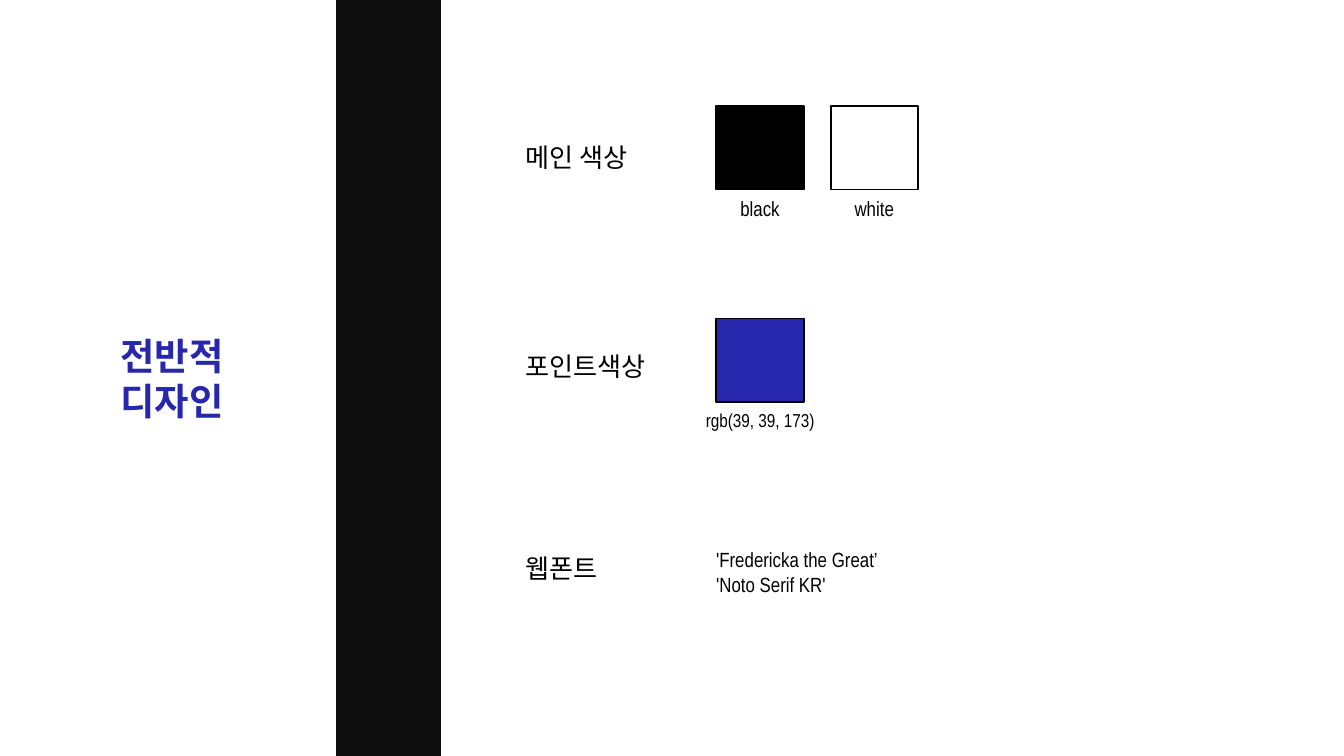
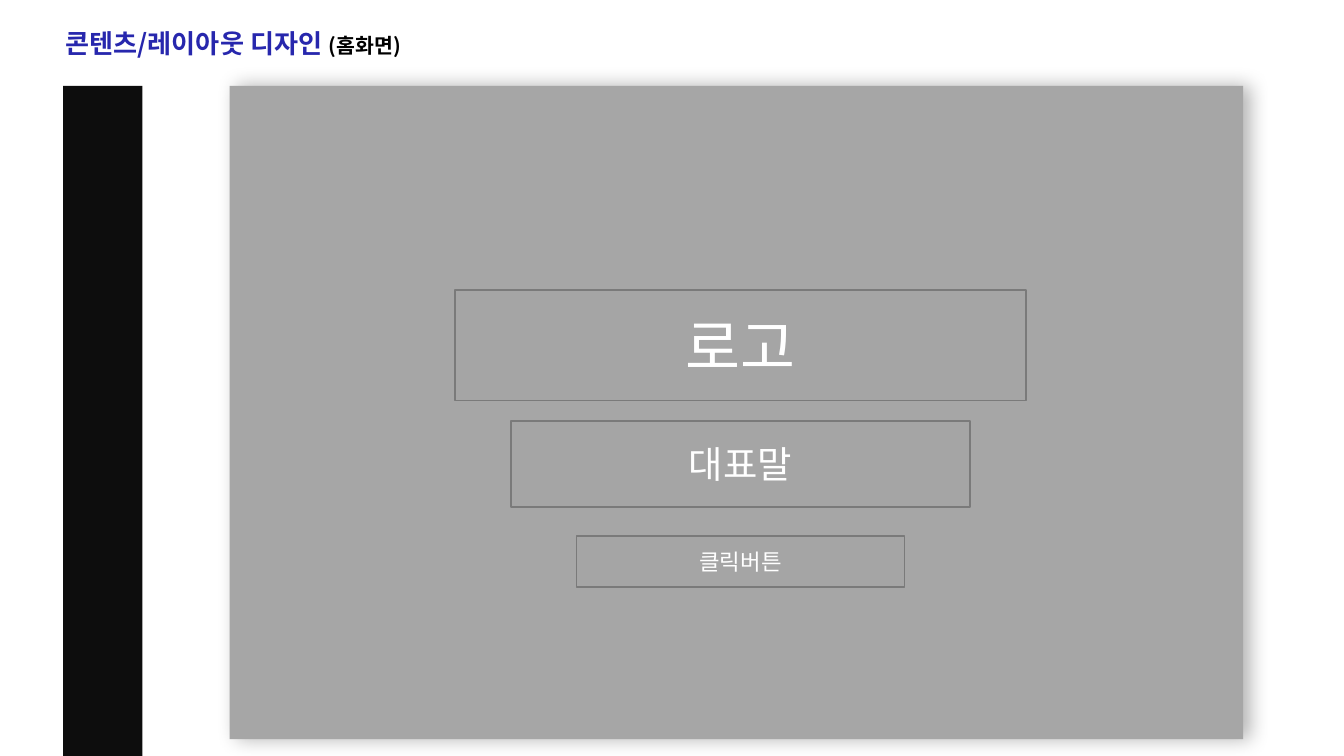
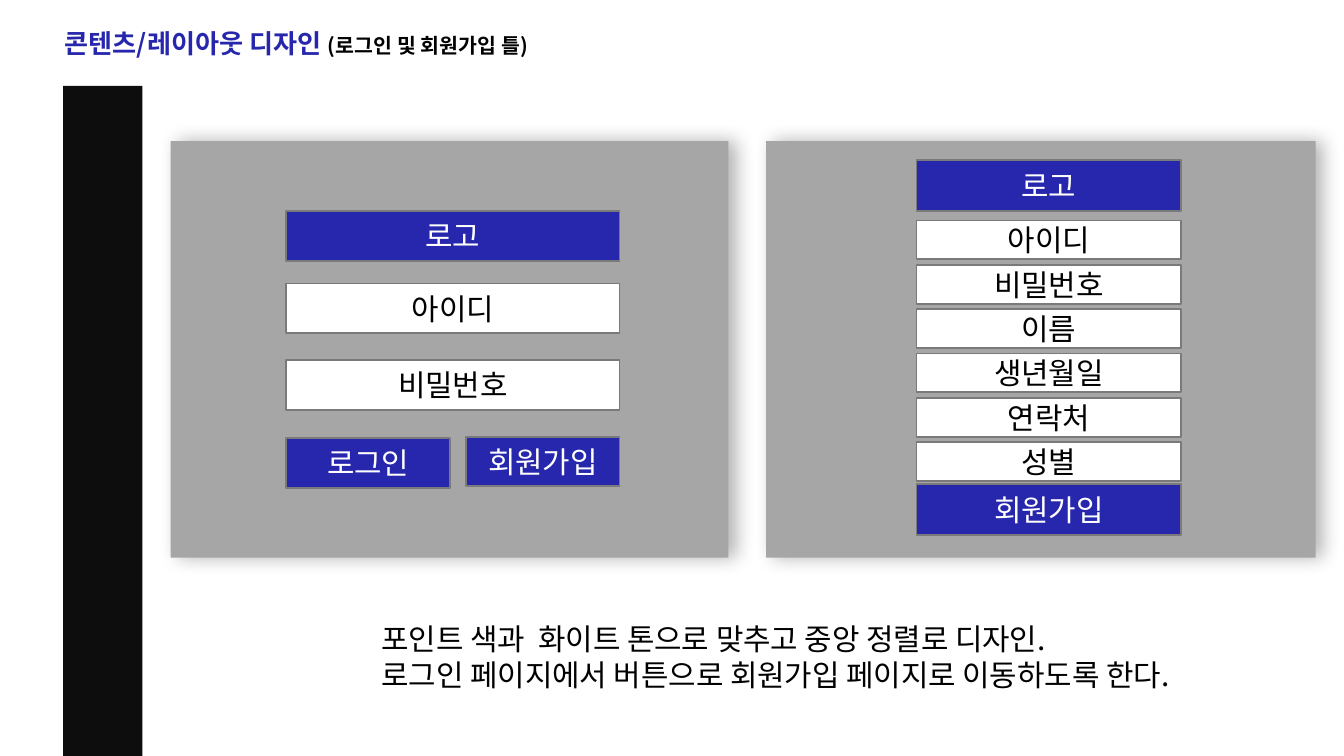
from lxml import etree
from pptx import Presentation
from pptx.dml.color import RGBColor
from pptx.enum.shapes import MSO_SHAPE
from pptx.enum.text import MSO_ANCHOR, MSO_AUTO_SIZE, PP_ALIGN
from pptx.oxml.ns import qn
from pptx.util import Inches, Pt

RECT = MSO_SHAPE.RECTANGLE
MIDDLE = MSO_ANCHOR.MIDDLE
GROW = MSO_AUTO_SIZE.SHAPE_TO_FIT_TEXT
LEFT, CENTER = PP_ALIGN.LEFT, PP_ALIGN.CENTER

POINT = RGBColor(0x27, 0x27, 0xAD)
BLACK = RGBColor(0, 0, 0)
WHITE = RGBColor(0xFF, 0xFF, 0xFF)
BAND = RGBColor(0x0D, 0x0D, 0x0D)
PANEL = RGBColor(0xA6, 0xA6, 0xA6)
BOX = RGBColor(0xA5, 0xA5, 0xA5)
EDGE = RGBColor(0x7A, 0x7A, 0x7A)

SANS, NARROW = "Noto Sans CJK KR", "Arial Narrow"
W = 10
H = W * 9 / 16
TIGHT = (0.07, 0.04)
NORMAL = (0.1, 0.05)

COVER_TITLE = "전반적 디자인"
LABELS = [("메인 색상", 1), ("포인트색상", 2.56), ("웹폰트", 4.06)]
SWATCH_X, SWATCH_STEP, SWATCH_W, SWATCH_H = 5.33, 0.85, 0.65, 0.62
SWATCHES = [
    ("black", BLACK, 0, 0.79, 11, 0.65),
    ("white", WHITE, 1, 0.79, 11, 0.65),
    ("rgb(39, 39, 173)", POINT, 0, 2.37, 10, 1.87),
]
WEB_FONTS = ["'Fredericka the Great’", "'Noto Serif KR'"]

PAGE_TITLE = "콘텐츠/레이아웃 디자인 "
HOME_NOTE = "(홈화면)"
HOME_CENTER = 5.51
HOME_BOXES = [
    ("로고", 2.16, 4.25, 0.82, 32),
    ("대표말", 3.13, 3.42, 0.64, 20),
    ("클릭버튼", 3.99, 2.44, 0.38, 12),
]

FORM_NOTE = "(로그인 및 회원가입 틀)"
LOGIN_X, LOGIN_W, LOGIN_H = 2.13, 2.48, 0.37
LOGIN_ROWS = [("로고", 1.57, POINT), ("아이디", 2.11, WHITE), ("비밀번호", 2.68, WHITE)]
LOGIN_BUTTONS = [("로그인", 2.13, 3.26, 1.22), ("회원가입", 3.47, 3.25, 1.14)]
JOIN_X, JOIN_W = 6.82, 1.97
JOIN_FIELDS = ["아이디", "비밀번호", "이름", "생년월일", "연락처", "성별"]
JOIN_TOP, JOIN_STEP, JOIN_H = 1.64, 0.33, 0.29
JOIN_BUTTONS = [("로고", 1.19), ("회원가입", 3.6)]
SUMMARY = [
    "포인트 색과  화이트 톤으로 맞추고 중앙 정렬로 디자인.",
    "로그인 페이지에서 버튼으로 회원가입 페이지로 이동하도록 한다.",
]


def style(r, size, color, font, bold=False):
    r.font.size, r.font.bold, r.font.name = Pt(size), bold, font
    r.font.color.rgb = color
    ea = etree.SubElement(r.font._element, qn("a:ea"))
    ea.set("typeface", font)


def add_text(s, at, paragraphs, align=LEFT, inset=NORMAL, wrap=True):
    tf = s.shapes.add_textbox(*map(Inches, at)).text_frame
    tf.word_wrap, tf.auto_size = wrap, GROW
    tf.margin_left = tf.margin_right = Inches(inset[0])
    tf.margin_top = tf.margin_bottom = Inches(inset[1])
    for i, runs in enumerate(paragraphs):
        p = tf.add_paragraph() if i else tf.paragraphs[0]
        p.alignment = align
        for text, *look in runs:
            r = p.add_run()
            r.text = text
            style(r, *look)


def add_rect(s, at, fill, line=None):
    sp = s.shapes.add_shape(RECT, *map(Inches, at))
    sp.shadow.inherit = False
    sp.fill.solid()
    sp.fill.fore_color.rgb = fill
    if line is None:
        sp.line.fill.background()
    else:
        sp.line.color.rgb, sp.line.width = line, Pt(1)
    return sp


def add_box(s, at, text, fill, size=16):
    sp = add_rect(s, at, fill, EDGE)
    tf = sp.text_frame
    tf.text, tf.vertical_anchor = text, MIDDLE
    p = tf.paragraphs[0]
    p.alignment = CENTER
    style(p.runs[0], size, BLACK if fill == WHITE else WHITE, SANS)


def add_panel(s, at):
    sp = add_rect(s, at, PANEL)
    effects = sp._element.spPr.find(qn("a:effectLst"))
    shadow = etree.SubElement(effects, qn("a:outerShdw"), blurRad=str(Pt(10)),
                              dist=str(Pt(4)), dir="0", algn="l", rotWithShape="0")
    color = etree.SubElement(shadow, qn("a:srgbClr"), val=str(BLACK))
    etree.SubElement(color, qn("a:alpha"), val="30000")


def add_slide(prs):
    return prs.slides.add_slide(prs.slide_layouts[6])


def add_page(prs, title_x, note, panels):
    s = add_slide(prs)
    for at in panels:
        add_panel(s, at)
    title = [(PAGE_TITLE, 14, POINT, SANS, True), (note, 11, BLACK, SANS, True)]
    add_text(s, (title_x, 0.16, 4.25, 0.31), [title], CENTER, TIGHT)
    add_rect(s, (0.47, 0.64, 0.59, H - 0.64), BAND)
    return s


def design_slide(prs):
    s = add_slide(prs)
    add_text(s, (0.75, 2.44, 1.06, 0.75),
             [[(COVER_TITLE, 20, POINT, SANS, True)]], CENTER, TIGHT)
    add_rect(s, (W / 4, 0, 0.78, H), BAND)
    for text, y in LABELS:
        add_text(s, (3.81, y, 1.16, 0.34), [[(text, 14, BLACK, NARROW)]])
    for name, color, column, y, size, width in SWATCHES:
        x = SWATCH_X + column * SWATCH_STEP
        add_rect(s, (x, y, SWATCH_W, SWATCH_H), color, BLACK)
        add_text(s, (x + (SWATCH_W - width) / 2, y + SWATCH_H, width, 0.28),
                 [[(name, size, BLACK, NARROW)]], CENTER)
    add_text(s, (5.23, 4.02, 1.62, 0.66),
             [[(name, 11, BLACK, NARROW)] for name in WEB_FONTS])


def home_slide(prs):
    s = add_page(prs, -0.39, HOME_NOTE, [(1.71, 0.64, 7.54, 4.86)])
    for text, y, width, height, size in HOME_BOXES:
        add_box(s, (HOME_CENTER - width / 2, y, width, height), text, BOX, size)


def form_slide(prs):
    s = add_page(prs, 0.08, FORM_NOTE, [(1.27, 1.05, 4.15, 3.1), (5.7, 1.05, 4.09, 3.1)])
    for text, y, fill in LOGIN_ROWS:
        add_box(s, (LOGIN_X, y, LOGIN_W, LOGIN_H), text, fill)
    for text, x, y, width in LOGIN_BUTTONS:
        add_box(s, (x, y, width, LOGIN_H), text, POINT)
    for i, text in enumerate(JOIN_FIELDS):
        add_box(s, (JOIN_X, JOIN_TOP + i * JOIN_STEP, JOIN_W, JOIN_H), text, WHITE)
    for text, y in JOIN_BUTTONS:
        add_box(s, (JOIN_X, y, JOIN_W, 0.38), text, POINT)
    add_text(s, (2.74, 4.57, 6.27, 0.64),
             [[(line, 16, BLACK, SANS)] for line in SUMMARY], wrap=False)


def main():
    prs = Presentation()
    prs.slide_width, prs.slide_height = Inches(W), Inches(H)
    design_slide(prs)
    home_slide(prs)
    form_slide(prs)
    prs.save("out.pptx")


if __name__ == "__main__":
    main()
